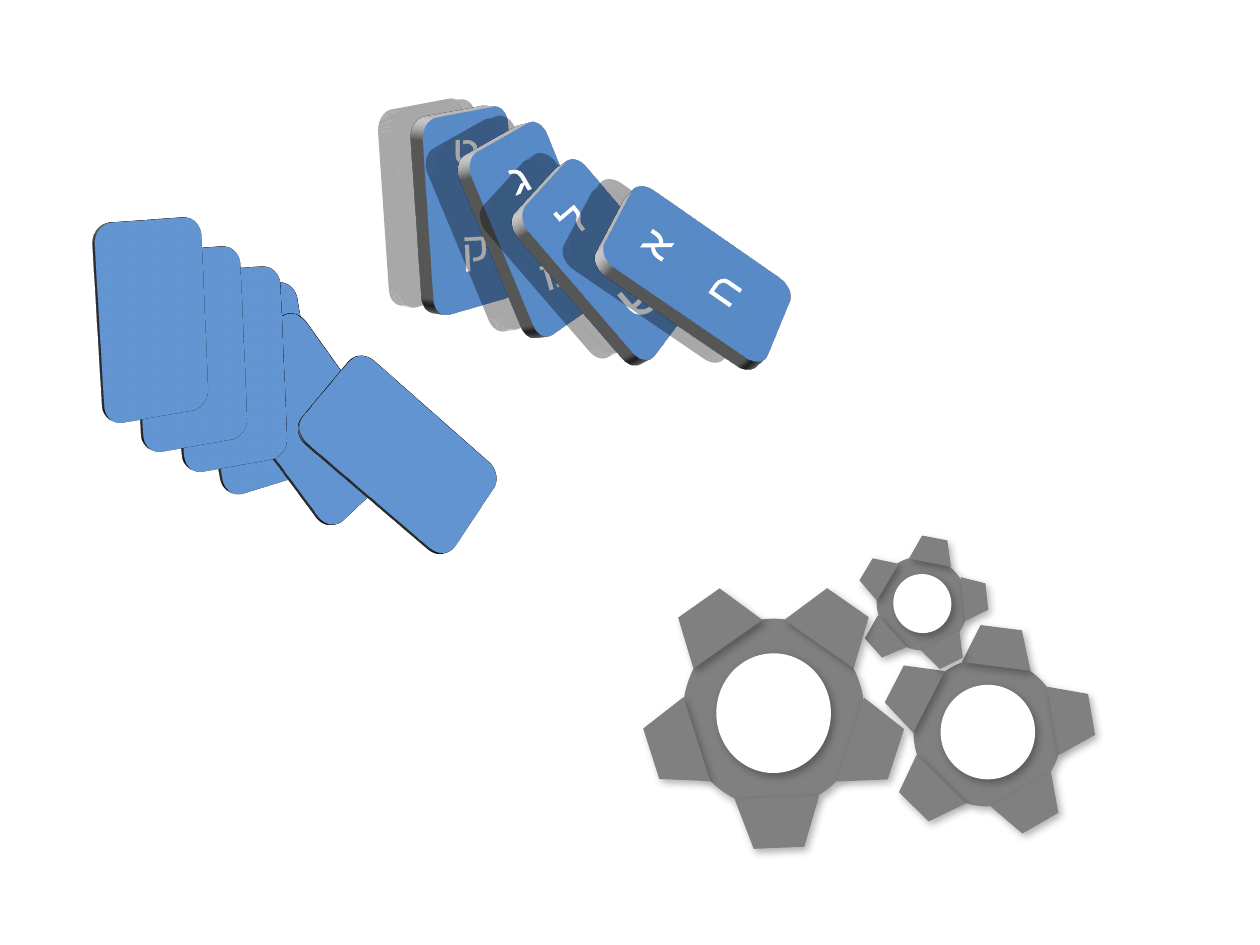
from math import cos, radians, sin

from lxml.etree import SubElement
from pptx import Presentation
from pptx.dml.color import RGBColor
from pptx.enum.shapes import MSO_SHAPE
from pptx.enum.text import MSO_AUTO_SIZE, PP_ALIGN
from pptx.oxml.ns import qn
from pptx.util import Inches, Pt

COLORS = {"card": "4F81BD", "edge": "FFFFFF", "rim": "808080", "shadow": "000000",
          "gear": "808080", "white": "FFFFFF"}
FONT = "Calibri"
CARD_SIZE = (0.94, 1.57)

# Shadows: alpha percent, blur, distance, direction
PLAIN_SHADOW = (43, 25, 0, 45)
LETTER_SHADOW = (18, 14.5, 19, 192)
GEAR_SHADOW = (30, 4.5, 2.6, 53)

# Views: camera, latitude, longitude, depth in points, side colour
PLAIN_VIEW = ("perspectiveHeroicExtremeRightFacing", 8.1, 332, 3, "rim")
LETTER_VIEW = ("perspectiveContrastingRightFacing", 10.4, 316.1, 10, "white")

# Plain cards, back to front: left, top, turn
PLAIN_CARDS = [(1.6, 2.29, 10), (2.01, 2.53, 36), (2.72, 2.81, 49),
               (1.38, 2.14, 2.9), (1.06, 1.98, 2.9), (0.75, 1.75, 2.9)]

# Letter cards: left, top, turn, letters
# Each letter: text, left, top, width, height, rotation, size
LETTER_CARDS = [
    (3.27, 0.88, 3.6, [("ק", 3.58, 1.7, 0.39, 0.5, 356.9, 24),
                       ("ט", 3.5, 0.93, 0.4, 0.5, 0, 24)]),
    (3.82, 1.03, 22.3, [("מ", 4.19, 1.9, 0.4, 0.5, 337.7, 24)]),
    (4.37, 1.27, 40.5, [("ש", 4.83, 1.99, 0.51, 0.64, 319.5, 32),
                        ("ל", 4.37, 1.47, 0.36, 0.5, 319.5, 24)]),
    (5.08, 1.38, 55.3, [("א", 5, 1.67, 0.39, 0.5, 304.7, 24),
                        ("ח", 5.53, 2.04, 0.4, 0.5, 304.7, 24),
                        ("ג", 3.94, 1.15, 0.34, 0.5, 337.1, 24)]),
]

# Gears: centre, hub, hole, side tooth, upright tooth, tooth distances, spin
GEARS = [
    ((7.84, 5.81), (1.18, 1.18), (0.75, 0.75), (0.55, 0.31), (0.55, 0.31), (0.68, 0.68), 0),
    ((7.32, 4.79), (0.75, 0.72), (0.47, 0.46), (0.35, 0.19), (0.34, 0.2), (0.42, 0.43), 3.6),
    ((6.14, 5.66), (1.5, 1.44), (0.95, 0.91), (0.7, 0.38), (0.67, 0.4), (0.83, 0.87), 27.6),
]
HUB_ANGLE = 242.5
TOOTH_ANGLES = [260.3, 44.7, 330, 117.2, 187.3]

deck = Presentation()
deck.slide_width, deck.slide_height = Inches(10), Inches(7.5)
page = deck.slides.add_slide(deck.slide_layouts[6])


def degrees(value):
    return str(round(value % 360 * 60000))


def add_part(parent, kind, place, color, shadow, rotation=0, line=None):
    part = parent.shapes.add_shape(kind, *map(Inches, place))
    part.rotation = rotation % 360
    part.fill.solid()
    part.fill.fore_color.rgb = RGBColor.from_string(COLORS[color])
    if line:
        part.line.color.rgb = RGBColor.from_string(COLORS[line])
        part.line.width = Pt(2.75)
    else:
        part.line.fill.background()
    part.shadow.inherit = False
    alpha, blur, distance, direction = shadow
    outer = SubElement(part._element.spPr.find(qn("a:effectLst")), qn("a:outerShdw"),
                       blurRad=str(Pt(blur)), dist=str(Pt(distance)), dir=degrees(direction),
                       algn="tl", rotWithShape="0")
    tint = SubElement(outer, qn("a:srgbClr"), val=COLORS["shadow"])
    SubElement(tint, qn("a:alpha"), val=str(alpha * 1000))
    return part


def add_card(parent, left, top, turn, view, shadow, line=None):
    card = add_part(parent, MSO_SHAPE.ROUNDED_RECTANGLE, (left, top, *CARD_SIZE),
                    "card", shadow, line=line)
    preset, latitude, longitude, depth, side = view
    properties = card._element.spPr
    scene = SubElement(properties, qn("a:scene3d"))
    camera = SubElement(scene, qn("a:camera"), prst=preset)
    SubElement(camera, qn("a:rot"), lat=degrees(latitude), lon=degrees(longitude),
               rev=degrees(turn))
    SubElement(scene, qn("a:lightRig"), rig="threePt", dir="t")
    solid = SubElement(properties, qn("a:sp3d"), extrusionH=str(Pt(depth)))
    tint = SubElement(solid, qn("a:extrusionClr"))
    SubElement(tint, qn("a:srgbClr"), val=COLORS[side])


def add_letter(parent, text, left, top, width, height, rotation, size):
    box = parent.shapes.add_textbox(*map(Inches, (left, top, width, height)))
    box.rotation = rotation
    frame = box.text_frame
    frame.word_wrap = False
    frame.auto_size = MSO_AUTO_SIZE.SHAPE_TO_FIT_TEXT
    para = frame.paragraphs[0]
    para.alignment = PP_ALIGN.RIGHT
    para._p.get_or_add_pPr().set("rtl", "1")
    span = para.add_run()
    span.text = text
    span.font.name, span.font.size = FONT, Pt(size)
    span.font.color.rgb = RGBColor.from_string(COLORS["white"])
    properties = span.font._element
    SubElement(properties, qn("a:cs"), typeface=FONT)
    # Letter outline comes first among the run properties
    outline = SubElement(properties, qn("a:ln"), w=str(Pt(1.45)))
    SubElement(SubElement(outline, qn("a:solidFill")), qn("a:srgbClr"), val=COLORS["white"])
    properties.insert(0, outline)


# Falling plain cards
for left, top, turn in PLAIN_CARDS:
    add_card(page, left, top, turn, PLAIN_VIEW, PLAIN_SHADOW, line="edge")

# Falling letter cards
letter_group = page.shapes.add_group_shape()
for left, top, turn, letters in LETTER_CARDS:
    add_card(letter_group, left, top, turn, LETTER_VIEW, LETTER_SHADOW)
    for letter in letters:
        add_letter(letter_group, *letter)

# Gears: hub, teeth around it, hole
gear_group = page.shapes.add_group_shape()
for centre, hub, hole, side_tooth, upright_tooth, distances, spin in GEARS:
    parts = [(MSO_SHAPE.OVAL, centre, hub, HUB_ANGLE, "gear")]
    for angle in TOOTH_ANGLES:
        turn = radians(angle + spin)
        spot = (centre[0] - distances[0] * sin(turn), centre[1] + distances[1] * cos(turn))
        tooth = upright_tooth if abs(cos(turn)) > 0.5 else side_tooth
        parts.append((MSO_SHAPE.FLOWCHART_MANUAL_OPERATION, spot, tooth, angle, "gear"))
    parts.append((MSO_SHAPE.OVAL, centre, hole, HUB_ANGLE, "white"))
    for kind, (x, y), (width, height), angle, color in parts:
        add_part(gear_group, kind, (x - width / 2, y - height / 2, width, height),
                 color, GEAR_SHADOW, angle + spin)

deck.save("out.pptx")
